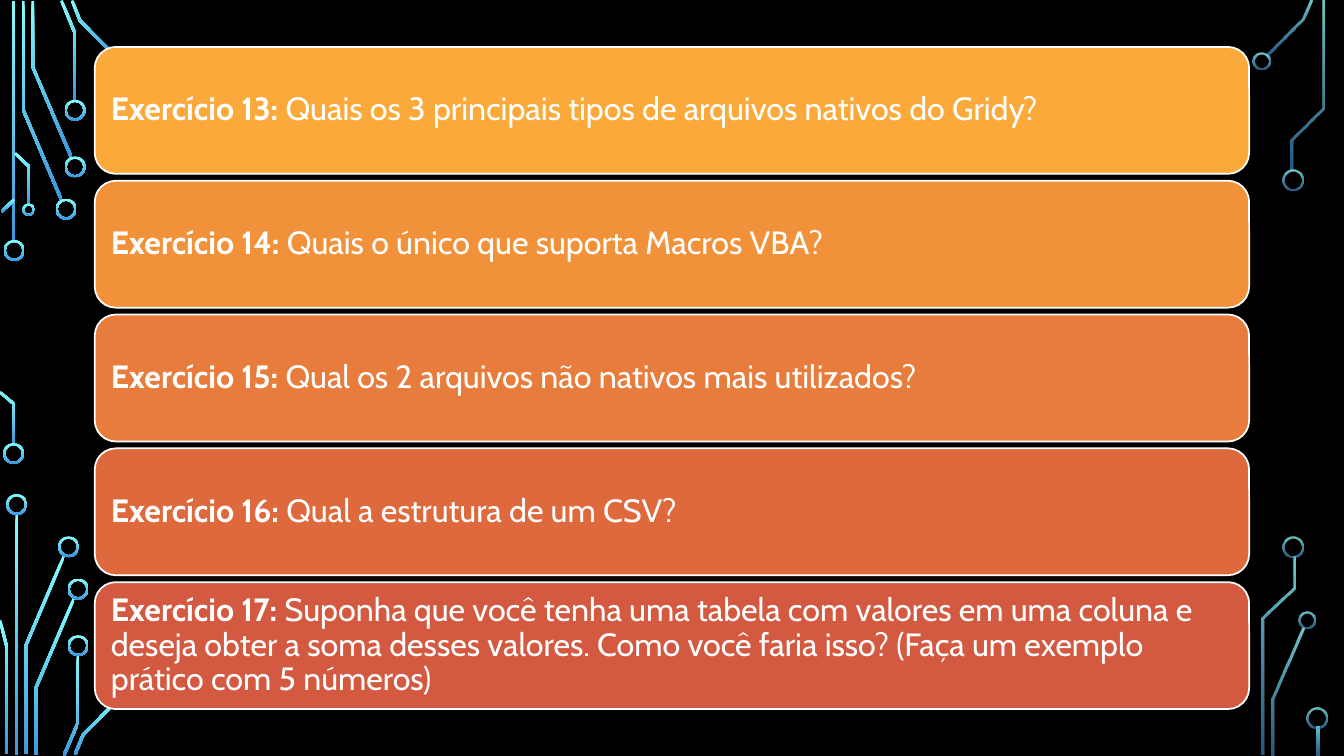
import math

import pptx
import pptx.dml.color
import pptx.enum.shapes
import pptx.enum.text
import pptx.oxml.ns
import pptx.util
from lxml import etree

Pt = pptx.util.Pt
RGBColor = pptx.dml.color.RGBColor
SHAPE = pptx.enum.shapes.MSO_SHAPE

BLACK = RGBColor(0x00, 0x00, 0x00)
WHITE = RGBColor(0xFF, 0xFF, 0xFF)
CYAN = RGBColor(0x82, 0xFF, 0xFF)
BLUE = RGBColor(0x3D, 0x97, 0xDE)
CARD_COLORS = [
    RGBColor(0xFA, 0xA9, 0x3A),
    RGBColor(0xF1, 0x92, 0x3A),
    RGBColor(0xE8, 0x7C, 0x3C),
    RGBColor(0xDE, 0x69, 0x3D),
    RGBColor(0xD3, 0x59, 0x40),
]
FONT = "Cabin"
TRACE_WIDTH = 2
RING_WIDTH = 1.5
OPAQUE, FADED = (100, 100), (80, 60)

QUESTIONS = [
    "Quais os 3 principais tipos de arquivos nativos do Gridy?",
    "Quais o único que suporta Macros VBA?",
    "Qual os 2 arquivos não nativos mais utilizados?",
    "Qual a estrutura de um CSV?",
    "Suponha que você tenha uma tabela com valores em uma coluna e deseja obter "
    "a soma desses valores. Como você faria isso? (Faça um exemplo prático com 5 números)",
]

# Circuit corners: origin, opacity, trace centre lines, rings (centre x, centre y, diameter)
CIRCUITS = [
    ((0, 0), OPAQUE,
     [[(9.7, 0.7), (9.7, 172.8)],
      [(43.9, 142.9), (16.6, 78.5), (16.6, 0.7)],
      [(51.1, 112.7), (23.4, 47.9), (23.4, 0.7)],
      [(53.6, 72), (53.6, 23.8), (43.9, 0.4)],
      [(83.2, 41), (57.2, 14.8), (51.5, 0.4)],
      [(1.1, 151.2), (10.1, 142.6)],
      [(20.9, 146.2), (20.9, 119.2), (10.8, 109.4)]],
     [(10.1, 178.9, 15), (47.2, 149.4, 15), (53.6, 119.2, 15),
      (53.6, 78.8, 15), (20.5, 149.8, 9)]),
    ((0, 270), OPAQUE,
     [[(0, 10.1), (10.1, 18.7), (10.1, 47.5)],
      [(11.9, 97.2), (11.9, 269.3)],
      [(18.4, 268.6), (18.4, 191.2), (45.7, 127.1)],
      [(4.7, 268.6), (4.7, 191.5), (0, 173.2)],
      [(25.6, 269.3), (25.6, 221.4), (52.9, 157.3)],
      [(45.7, 269.6), (55.8, 246.2), (55.8, 198)],
      [(53.6, 268.9), (59.4, 254.9), (85, 229)]],
     [(9.7, 54, 15), (11.9, 90.4, 15), (49, 120.6, 15),
      (55.8, 150.8, 15), (55.8, 191.2, 15)]),
    ((900, 0), FADED,
     [[(5, 40), (30.6, 14), (36.4, 0.4)],
      [(23, 121.7), (23, 99.7), (45, 77.4), (45, 0.7)]],
     [(1.1, 43.6, 12.2), (23.4, 128.5, 15)]),
    ((900, 380), FADED,
     [[(9, 159.3), (9, 119.3), (31, 68.9)],
      [(1.8, 159.3), (1.8, 61.7), (24.1, 40.1), (24.1, 17.4)],
      [(41.4, 139.1), (41.4, 159.3)]],
     [(33.5, 63.2, 12.2), (23.8, 10.6, 15), (40.7, 132.6, 15)]),
]


def style_circuit(sp, opacity):
    """Vertical cyan-to-blue gradient, no outline."""
    sp.shadow.inherit = False
    sp.line.fill.background()
    sp.fill.gradient()
    sp.fill.gradient_angle = 270
    stops = sp.fill.gradient_stops
    for stop, position, color in zip(stops, (0, 1), (CYAN, BLUE)):
        stop.position = position
        stop.color.rgb = color
    colors = sp._element.spPr.iter(pptx.oxml.ns.qn("a:srgbClr"))
    for color, percent in zip(list(colors), opacity):
        if percent < 100:
            alpha = etree.SubElement(color, pptx.oxml.ns.qn("a:alpha"))
            alpha.set("val", str(percent * 1000))


def band_outline(points, width):
    """Outline of a band of constant width, mitred at the bends."""
    normals = []
    for (x1, y1), (x2, y2) in zip(points, points[1:]):
        length = math.hypot(x2 - x1, y2 - y1)
        normals.append(((y1 - y2) / length, (x2 - x1) / length))
    sides = [], []
    ends = zip(points, normals[:1] + normals, normals + normals[-1:])
    for (x, y), (ax, ay), (bx, by) in ends:
        reach = width / 2 / (1 + ax * bx + ay * by)
        dx, dy = (ax + bx) * reach, (ay + by) * reach
        sides[0].append((x + dx, y + dy))
        sides[1].append((x - dx, y - dy))
    return sides[0] + sides[1][::-1]


def add_circuit(s, origin, opacity, traces, rings):
    left, top = origin
    for trace in traces:
        outline = [(Pt(left + x), Pt(top + y)) for x, y in band_outline(trace, TRACE_WIDTH)]
        builder = s.shapes.build_freeform(*outline[0])
        builder.add_line_segments(outline[1:], close=True)
        style_circuit(builder.convert_to_shape(), opacity)
    for x, y, size in rings:
        sp = s.shapes.add_shape(SHAPE.DONUT, Pt(left + x - size / 2),
                                Pt(top + y - size / 2), Pt(size), Pt(size))
        sp.adjustments[0] = RING_WIDTH / size
        style_circuit(sp, opacity)


def add_card(s, left, top, width, height, color, label, question):
    sp = s.shapes.add_shape(SHAPE.ROUNDED_RECTANGLE, Pt(left), Pt(top), Pt(width), Pt(height))
    sp.shadow.inherit = False
    sp.fill.solid()
    sp.fill.fore_color.rgb = color
    sp.line.color.rgb = WHITE
    sp.line.width = Pt(1.25)
    tf = sp.text_frame
    tf.word_wrap = True
    tf.vertical_anchor = pptx.enum.text.MSO_ANCHOR.MIDDLE
    tf.margin_left = tf.margin_right = tf.margin_top = tf.margin_bottom = Pt(7.2)
    p = tf.paragraphs[0]
    p.alignment = pptx.enum.text.PP_ALIGN.LEFT
    p.line_spacing = 0.9
    p.font.name = FONT
    p.font.size = Pt(23)
    p.font.color.rgb = WHITE
    for text, bold in ((label, True), (question, False)):
        r = p.add_run()
        r.text = text
        r.font.bold = bold


def add_exercises(s, left, top, width, height, gap, first_number):
    card_height = (height - gap * (len(QUESTIONS) - 1)) / len(QUESTIONS)
    for i, (question, color) in enumerate(zip(QUESTIONS, CARD_COLORS)):
        add_card(s, left, top + i * (card_height + gap), width, card_height,
                 color, f"Exercício {first_number + i}: ", question)


prs = pptx.Presentation()
prs.slide_width, prs.slide_height = Pt(960), Pt(540)
s = prs.slides.add_slide(prs.slide_layouts[6])
s.background.fill.solid()
s.background.fill.fore_color.rgb = BLACK

# Circuit decoration in the corners
for circuit in CIRCUITS:
    add_circuit(s, *circuit)

# Exercise cards
add_exercises(s, 67.7, 33.5, 824.6, 473, 4.9, 13)

prs.save("out.pptx")
